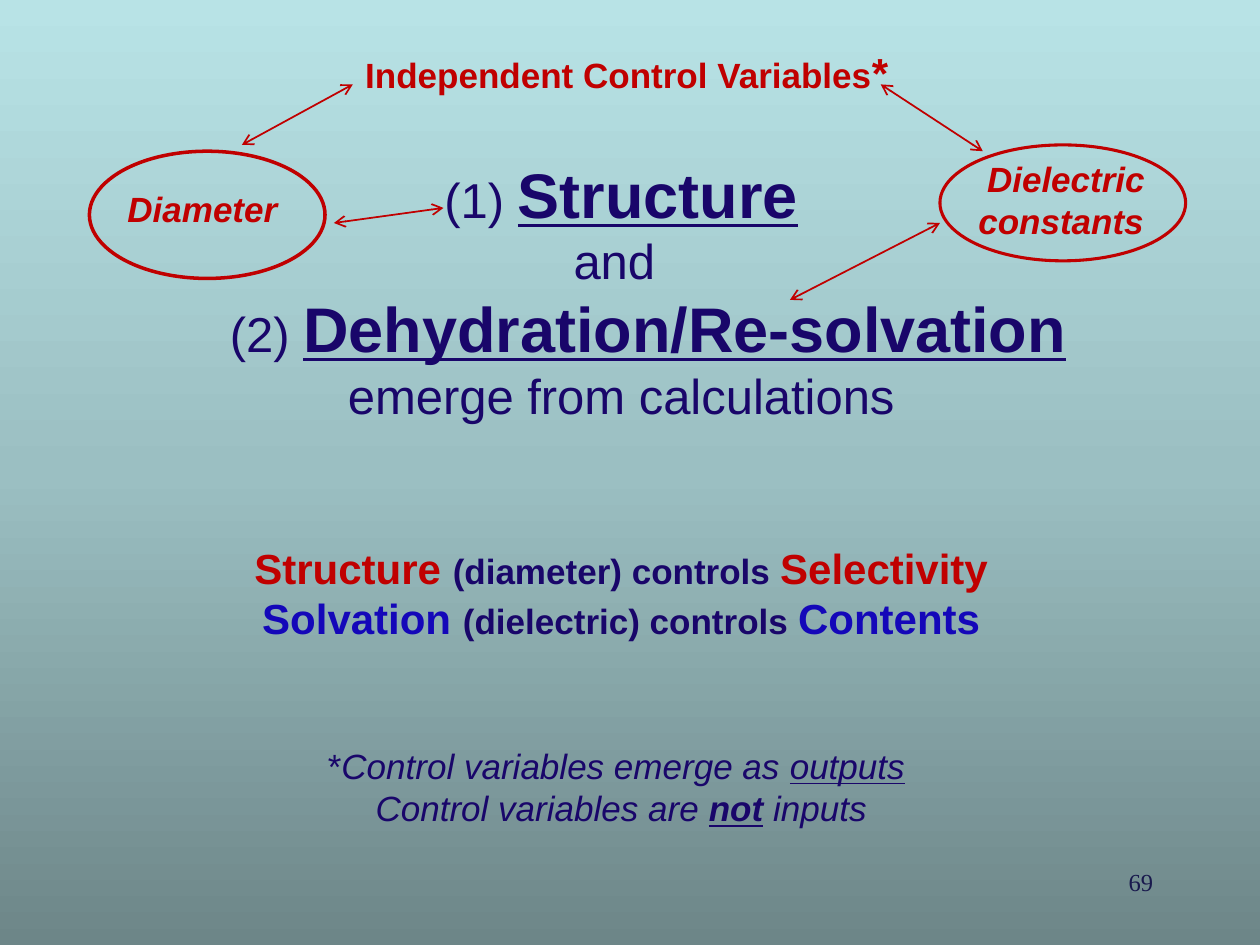
"""Build the slide on independent control variables."""
from copy import deepcopy
from pptx import Presentation
from pptx.dml.color import RGBColor as RGB
from pptx.enum.shapes import MSO_CONNECTOR as LINK, MSO_SHAPE as SHAPE
from pptx.enum.text import MSO_ANCHOR as ANCHOR, MSO_AUTO_SIZE as AUTO, PP_ALIGN as ALIGN
from pptx.oxml.ns import qn
from pptx.util import Inches, Pt

RED = RGB(0xC0, 0x00, 0x00)
NAVY = RGB(0x19, 0x06, 0x6A)
BLUE = RGB(0x14, 0x07, 0xB9)
SLATE = RGB(0x19, 0x19, 0x4D)
SKY = [RGB(0x6D, 0x86, 0x88), RGB(0x9B, 0xBF, 0xC2), RGB(0xB8, 0xE3, 0xE6)]

# Each line: space before (pt), left indent (in), runs of (text, size, colour, marks)
TITLE = [
    (0, 0, [("(1) ", 28, NAVY, ""), ("Structure", 36, NAVY, "bu")]),
    (0, 0, [("and ", 28, NAVY, "")]),
    (0, 0.43, [("(2) ", 28, NAVY, ""), ("Dehydration/Re-solvation", 36, NAVY, "bu")]),
    (0, 0, [("emerge from calculations", 28, NAVY, "")]),
    (67.5, 0, [("Structure ", 24, RED, "b"), ("(diameter) controls ", 20, NAVY, "b"),
               ("Selectivity", 24, RED, "b")]),
    (0, 0, [("Solvation ", 24, BLUE, "b"), ("(dielectric) controls ", 20, NAVY, "b"),
            ("Contents", 24, BLUE, "b")]),
    (58, 0, [("*", 20, NAVY, ""), ("Control variables emerge as ", 20, NAVY, "i"),
             ("outputs", 20, NAVY, "iu"), (" ", 20, NAVY, "i")]),
    (0, 0, [("Control variables are ", 20, NAVY, "i"), ("not", 20, NAVY, "biu"),
            (" inputs", 20, NAVY, "i")]),
]
LABELS = [
    ((7.17, 6.83, 2.08, 0.5), ALIGN.RIGHT, "Times New Roman", [("69", 14, SLATE, "")]),
    ((0.55, 1.44, 2.19, 0.55), ALIGN.CENTER, "Arial", [("Diameter ", 20, RED, "bi")]),
    ((7.4, 1.2, 2.12, 0.77), ALIGN.CENTER, "Arial", [("Dielectric constants ", 20, RED, "bi")]),
    ((2.8, 0.32, 4.58, 0.68), ALIGN.LEFT, "Arial",
     [("Independent Control Variables", 20, RED, "b"), ("*", 24, RED, "b")]),
]
OVALS = [((0.71, 1.2, 1.87, 1.01), 2), ((7.46, 1.15, 1.95, 0.92), 1.75)]
ARROWS = [
    (2.65, 1.77, 3.52, 1.65),
    (7.46, 1.77, 6.27, 2.38),
    (1.92, 1.15, 2.8, 0.67),
    (7.8, 1.2, 6.99, 0.67),
]


def inch(box):
    return [Inches(v) for v in box]


def style(font, size, color, marks):
    font.size = Pt(size)
    font.color.rgb = color
    font.bold, font.italic, font.underline = (m in marks for m in "biu")


def write(para, runs, face, align):
    para.alignment = align
    para.font.name = face
    for text, *look in runs:
        run = para.add_run()
        run.text = text
        style(run.font if len(runs) > 1 else para.font, *look)


def paint(slide):
    fill = slide.background.fill
    fill.gradient()
    fill.gradient_angle = 90
    first = next(slide.element.iter(qn("a:gs")))
    first.addnext(deepcopy(first))
    for i, (stop, color) in enumerate(zip(fill.gradient_stops, SKY)):
        stop.position = i / 2
        stop.color.rgb = color


def add_title(slide):
    title = slide.shapes.title
    title.left, title.top, title.width, title.height = inch((0.43, 0.86, 9, 6.09))
    frame = title.text_frame
    frame.word_wrap = True
    frame.auto_size = AUTO.NONE
    frame.vertical_anchor = ANCHOR.MIDDLE
    for i, (gap, left, runs) in enumerate(TITLE):
        para = frame.add_paragraph() if i else frame.paragraphs[0]
        para.space_before = Pt(gap)
        para._p.get_or_add_pPr().set("marL", str(Inches(left)))
        write(para, runs, "Arial", ALIGN.CENTER)


def add_label(slide, box, align, face, runs):
    frame = slide.shapes.add_textbox(*inch(box)).text_frame
    frame.word_wrap = True
    write(frame.paragraphs[0], runs, face, align)


def add_oval(slide, box, width):
    oval = slide.shapes.add_shape(SHAPE.OVAL, *inch(box))
    oval.shadow.inherit = False
    oval.fill.background()
    oval.line.color.rgb = RED
    oval.line.width = Pt(width)


def add_arrow(slide, ends):
    link = slide.shapes.add_connector(LINK.STRAIGHT, *inch(ends))
    link.line.color.rgb = RED
    link.line.width = Pt(1)
    line = link.line._get_or_add_ln()
    for tag in ("a:headEnd", "a:tailEnd"):
        line.append(line.makeelement(qn(tag), {"type": "arrow"}))
    props = link._element.spPr
    props.append(props.makeelement(qn("a:effectLst"), {}))


def main():
    deck = Presentation()
    deck.slide_width, deck.slide_height = inch((10, 7.5))
    slide = deck.slides.add_slide(deck.slide_layouts[5])
    paint(slide)
    add_title(slide)
    for label in LABELS:
        add_label(slide, *label)
    for oval in OVALS:
        add_oval(slide, *oval)
    for ends in ARROWS:
        add_arrow(slide, ends)
    deck.save("out.pptx")


if __name__ == "__main__":
    main()
